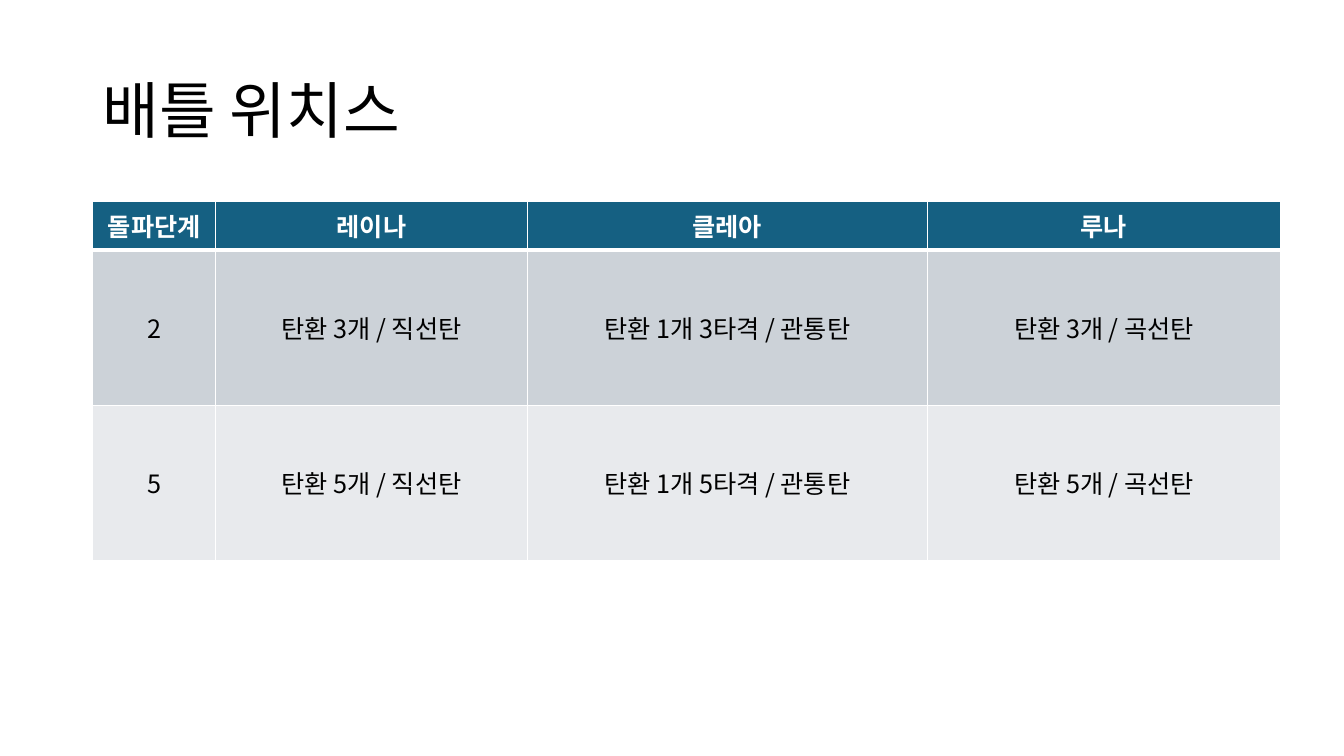
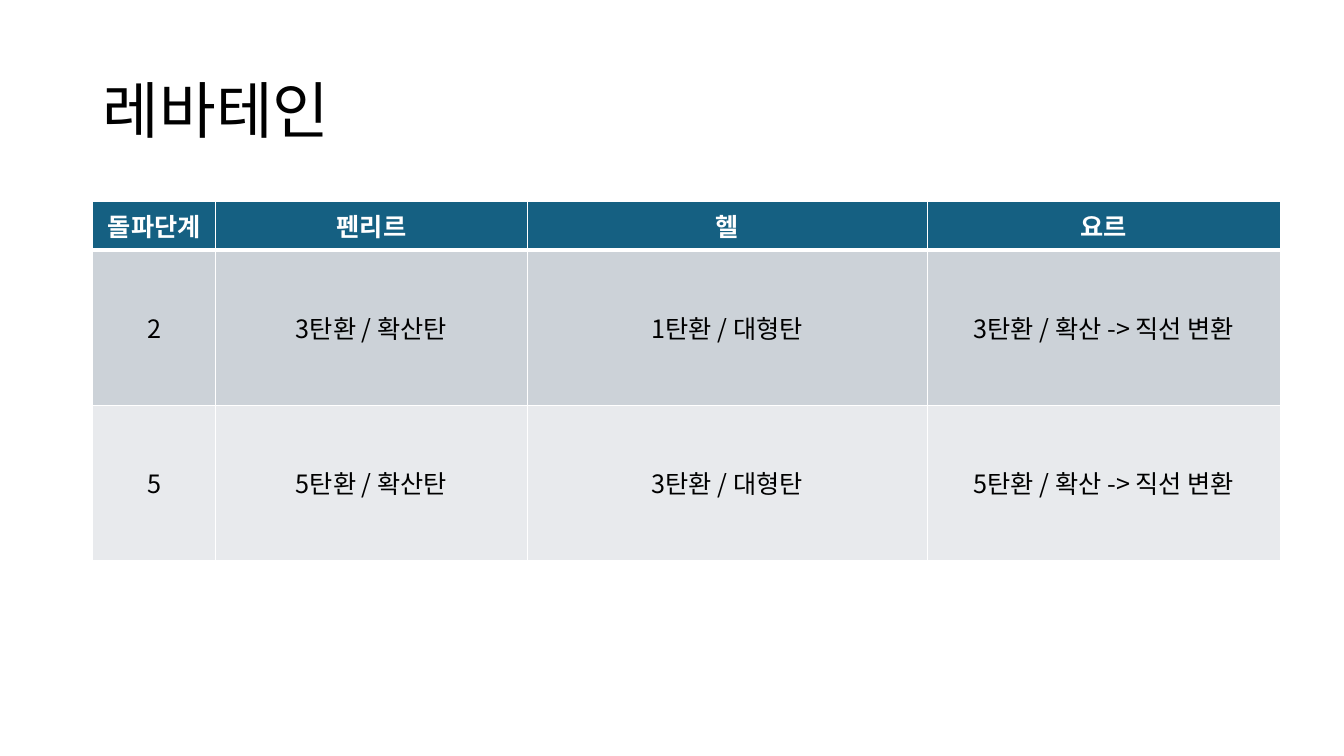
import pptx
import pptx.dml.color
import pptx.enum.text
import pptx.oxml
import pptx.oxml.ns
import pptx.util

Inches = pptx.util.Inches
Pt = pptx.util.Pt
MIDDLE = pptx.enum.text.MSO_ANCHOR.MIDDLE
CENTER = pptx.enum.text.PP_ALIGN.CENTER

FONT = "Noto Sans CJK KR"
COLORS = {
    "ink": "000000",
    "paper": "FFFFFF",
    "head": "156082",
    "odd": "CCD2D8",
    "even": "E8EAED",
}
TITLE_BOX = (0.92, 0.4, 11.5, 1.45)
TABLE_BOX = (0.92, 2, 11.78, 3.56)
COLS = (1.22, 3.09, 3.97, 3.5)
HEAD_HIGH = 0.48
THIN, THICK = 1, 3

TEAMS = [
    ("배틀 위치스", [
        ("돌파단계", "레이나", "클레아", "루나"),
        ("2", "탄환 3개 / 직선탄", "탄환 1개 3타격 / 관통탄", "탄환 3개 / 곡선탄"),
        ("5", "탄환 5개 / 직선탄", "탄환 1개 5타격 / 관통탄", "탄환 5개 / 곡선탄"),
    ]),
    ("레바테인", [
        ("돌파단계", "펜리르", "헬", "요르"),
        ("2", "3탄환 / 확산탄", "1탄환 / 대형탄", "3탄환 / 확산 -> 직선 변환"),
        ("5", "5탄환 / 확산탄", "3탄환 / 대형탄", "5탄환 / 확산 -> 직선 변환"),
    ]),
]


def rgb(name):
    return pptx.dml.color.RGBColor.from_string(COLORS[name])


def style(para, size, color, bold=False):
    for run in para.runs:
        font = run.font
        font.size = Pt(size)
        font.bold = bold
        font.color.rgb = rgb(color)
        font.name = FONT
        asian = pptx.oxml.parse_xml(
            f'<a:ea {pptx.oxml.ns.nsdecls("a")} typeface="{FONT}"/>')
        font._element.find(pptx.oxml.ns.qn("a:latin")).addnext(asian)


def add_title(slide, box, text):
    frame = slide.shapes.add_textbox(*map(Inches, box)).text_frame
    frame.word_wrap = True
    frame.vertical_anchor = MIDDLE
    frame.text = text
    para = frame.paragraphs[0]
    para.line_spacing = 0.9
    style(para, 44, "ink")


def set_lines(cell, top, bottom):
    """Draw the cell's borders; they must precede its fill in the XML."""
    props = cell._tc.get_or_add_tcPr()
    sides = (("L", THIN), ("R", THIN), ("T", top), ("B", bottom))
    for spot, (side, width) in enumerate(sides):
        props.insert(spot, pptx.oxml.parse_xml(
            f'<a:ln{side} {pptx.oxml.ns.nsdecls("a")} w="{Pt(width)}">'
            f'<a:solidFill><a:srgbClr val="{COLORS["paper"]}"/></a:solidFill>'
            f'</a:ln{side}>'))


def fill_cell(cell, text, row):
    head = row == 0
    cell.text = text
    cell.vertical_anchor = MIDDLE
    para = cell.text_frame.paragraphs[0]
    para.alignment = CENTER
    style(para, 18, "paper" if head else "ink", head)
    cell.fill.solid()
    cell.fill.fore_color.rgb = rgb("head" if head else ("even", "odd")[row % 2])
    set_lines(cell, THICK if row == 1 else THIN, THICK if head else THIN)


def add_grid(slide, box, rows):
    grid = slide.shapes.add_table(
        len(rows), len(COLS), *map(Inches, box)).table
    for col, width in zip(grid.columns, COLS):
        col.width = Inches(width)
    body = (box[3] - HEAD_HIGH) / (len(rows) - 1)
    for row, texts in enumerate(rows):
        grid.rows[row].height = Inches(body if row else HEAD_HIGH)
        for col, text in enumerate(texts):
            fill_cell(grid.cell(row, col), text, row)


def add_team(deck, title, rows):
    slide = deck.slides.add_slide(deck.slide_layouts[6])
    back = slide.background.fill
    back.solid()
    back.fore_color.rgb = rgb("paper")
    add_title(slide, TITLE_BOX, title)
    add_grid(slide, TABLE_BOX, rows)


def main():
    deck = pptx.Presentation()
    deck.slide_width = Inches(13.33)
    deck.slide_height = Inches(7.5)
    for title, rows in TEAMS:
        add_team(deck, title, rows)
    deck.save("out.pptx")


if __name__ == "__main__":
    main()
